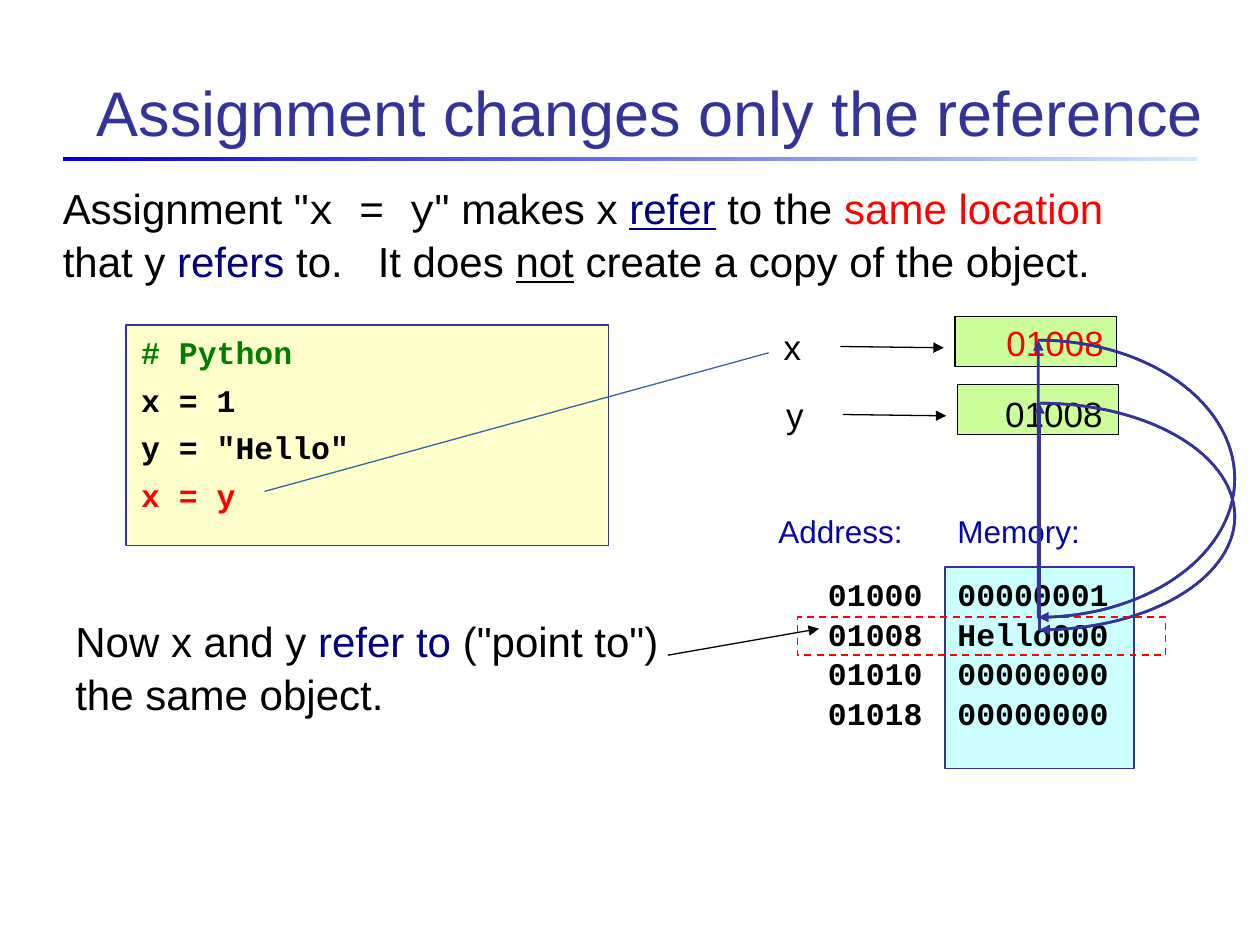
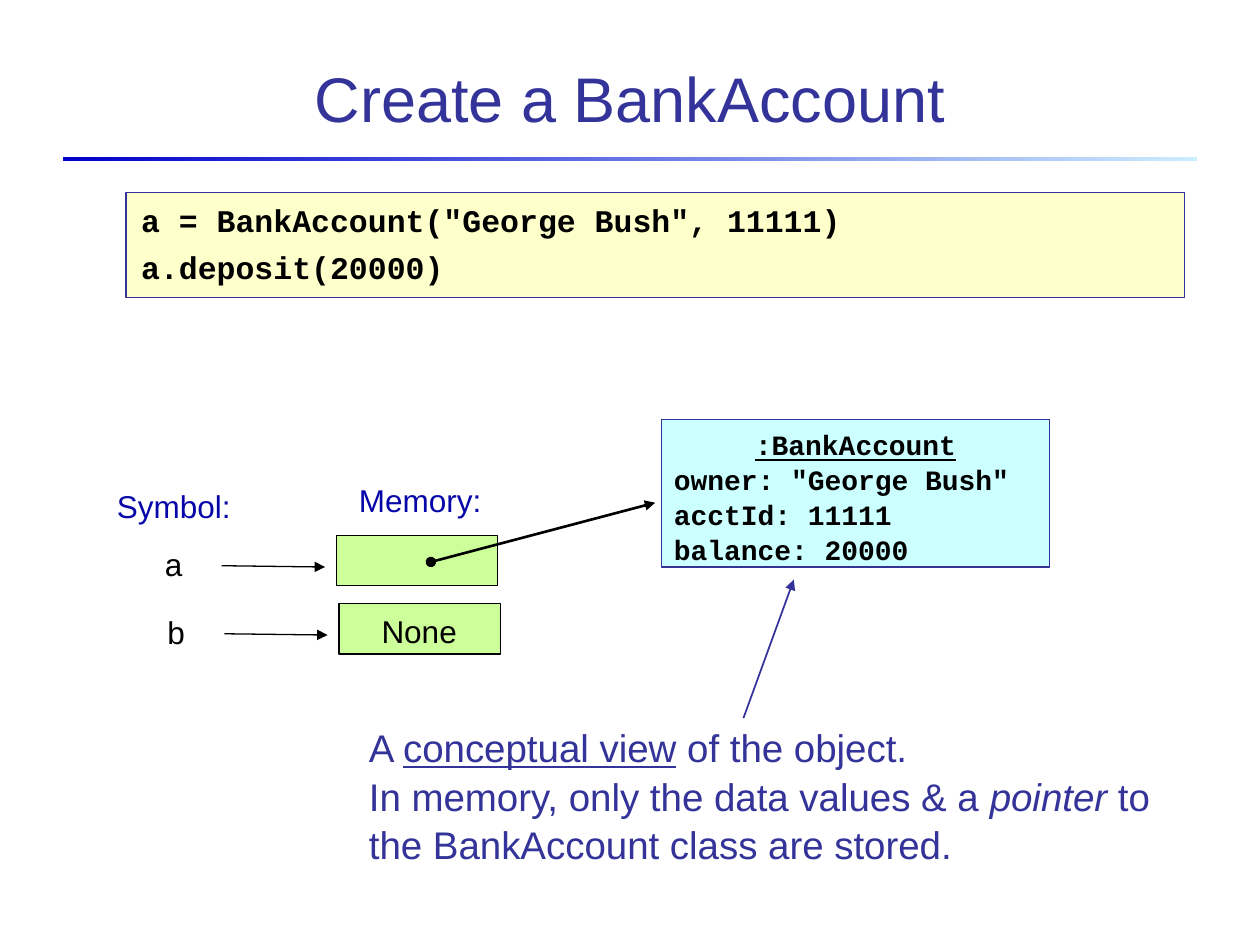
from dataclasses import dataclass
from math import cos, pi, sin

from pptx import Presentation
from pptx.dml.color import RGBColor
from pptx.enum.dml import MSO_LINE
from pptx.enum.shapes import MSO_CONNECTOR, MSO_SHAPE
from pptx.enum.text import MSO_ANCHOR as Anchor, PP_ALIGN as Align
from pptx.oxml.ns import qn
from pptx.util import Emu, Pt
from lxml.etree import SubElement

EMU_PER_PX = 9144


def px(length):
    return Emu(round(length * EMU_PER_PX))


@dataclass(frozen=True)
class Theme:
    sans: str = "Arial"
    mono: str = "Courier New"
    black: str = "000000"
    indigo: str = "333399"
    navy: str = "000080"
    caption: str = "0707A9"
    red: str = "FF0000"
    green: str = "008000"
    steel: str = "3465A4"
    code_fill: str = "FFFFCC"
    cell_fill: str = "CCFF99"
    object_fill: str = "CCFFFF"
    rule_start: str = "0000CC"
    rule_end: str = "CCECFF"
    title: int = 36
    body: int = 24
    note: int = 22
    symbol: int = 20
    code: int = 18
    fields: int = 16
    line_spacing: float = 1.05
    code_gap: float = 4.5
    thin: float = 0.75
    medium: float = 1
    thick: float = 1.5


class SlideBuilder:
    def __init__(self, deck, theme):
        self.deck = deck
        self.theme = theme
        self.page = None

    def new_page(self, title, width, align, anchor):
        theme = self.theme
        self.page = self.deck.slides.add_slide(self.deck.slide_layouts[6])
        rule = self.rectangle((50, 125, 900, 3))
        rule.fill.gradient()
        rule.fill.gradient_angle = 0
        for stop, color in zip(rule.fill.gradient_stops, (theme.rule_start, theme.rule_end)):
            stop.color.rgb = RGBColor.from_string(color)
        self.text((67, 28, width, 95), [title], theme.title, theme.indigo,
                  align=align, anchor=anchor)

    def rectangle(self, frame, fill=None, line=None, width=None):
        box = self.page.shapes.add_shape(MSO_SHAPE.RECTANGLE, *map(px, frame))
        box.shadow.inherit = False
        self.paint(box, fill, line, width)
        return box

    def paint(self, shape, fill, line, width):
        if fill:
            shape.fill.solid()
            shape.fill.fore_color.rgb = RGBColor.from_string(fill)
        else:
            shape.fill.background()
        if line:
            self.stroke(shape.line, line, width or self.theme.thin)
        else:
            shape.line.fill.background()

    def stroke(self, line, color, width, head=None, tail=None):
        line.color.rgb = RGBColor.from_string(color)
        line.width = Pt(width)
        element = line._get_or_add_ln()
        for tag, kind in (("a:headEnd", head), ("a:tailEnd", tail)):
            if kind:
                SubElement(element, qn(tag), type=kind)

    def set_text(self, box, paragraphs, size, color, font=None, bold=False,
                 align=Align.LEFT, anchor=Anchor.TOP, before=0, inset=10):
        frame = box.text_frame
        frame.word_wrap = True
        frame.vertical_anchor = anchor
        frame.margin_left, frame.margin_right = px(inset), px(10)
        frame.margin_top = frame.margin_bottom = px(5)
        for index, content in enumerate(paragraphs):
            para = frame.add_paragraph() if index else frame.paragraphs[0]
            para.alignment = align
            para.space_before = Pt(before)
            para.line_spacing = self.theme.line_spacing
            for part in [content] if isinstance(content, str) else content:
                words, style = (part, {}) if isinstance(part, str) else part
                span = para.add_run()
                span.text = words
                span.font.size = Pt(size)
                span.font.name = style.get("font", font or self.theme.sans)
                span.font.bold = bold
                span.font.italic = style.get("italic", False)
                span.font.underline = style.get("underline", False)
                span.font.color.rgb = RGBColor.from_string(style.get("color", color))
                if "spacing" in style:
                    span.font._element.set("spc", str(style["spacing"]))

    def text(self, frame, paragraphs, size, color=None, **style):
        box = self.page.shapes.add_textbox(*map(px, frame))
        self.set_text(box, paragraphs, size, color or self.theme.black, **style)

    def caption(self, left, top, words):
        self.text((left, top, 127, 40), [words], self.theme.code, self.theme.caption)

    def code(self, frame, lines):
        theme = self.theme
        box = self.rectangle(frame, theme.code_fill, theme.indigo)
        self.set_text(box, lines, theme.code, theme.black, font=theme.mono, bold=True,
                      before=theme.code_gap, inset=12)

    def mono_box(self, frame, lines, size, filled=True, align=Align.LEFT):
        theme = self.theme
        colors = (theme.object_fill, theme.indigo) if filled else (None, None)
        box = self.rectangle(frame, *colors)
        self.set_text(box, lines, size, theme.black, font=theme.mono, bold=True, align=align)
        return box

    def variable(self, name, left, top, size):
        theme = self.theme
        self.text((left - 146, top + 1, 41, 44), [name], size)
        self.line((left - 91, top + 24), (left - 9, top + 25), tail="triangle")
        return self.rectangle((left, top, 128, 40), theme.cell_fill, theme.black)

    def line(self, start, end, color=None, width=None, head=None, tail=None):
        theme = self.theme
        link = self.page.shapes.add_connector(
            MSO_CONNECTOR.STRAIGHT, *map(px, (*start, *end)))
        self.stroke(link.line, color or theme.black, width or theme.thin, head, tail)
        SubElement(link._element.spPr, qn("a:effectLst"))

    def loop(self, left, top, width, height, steps=60):
        theme = self.theme
        angles = [pi * step / steps - pi / 2 for step in range(steps + 1)]
        arc = [(px(left + width * cos(angle)), px(top + height / 2 * (1 + sin(angle))))
               for angle in angles]
        outline = self.page.shapes.build_freeform(*arc[0])
        outline.add_line_segments(arc[1:] + arc[:1], close=False)
        outline.move_to(*arc[0])
        outline.add_line_segments(arc[1:], close=False)
        shape = outline.convert_to_shape()
        shape.shadow.inherit = False
        shape.fill.background()
        self.stroke(shape.line, theme.indigo, theme.thick, tail="triangle")


def build_assignment(slide):
    theme = slide.theme
    navy = {"color": theme.navy}
    red = {"color": theme.red}
    slide.new_page("Assignment changes only the reference", 913, Align.LEFT, Anchor.BOTTOM)
    slide.code((100, 258, 383, 175), [
        [("# Python", {"color": theme.green})], "x = 1", 'y = "Hello"', [("x = y", red)]])

    x_cell = slide.variable("x", 758, 251, theme.symbol)
    slide.set_text(x_cell, ["01008"], theme.symbol, theme.red,
                   align=Align.RIGHT, anchor=Anchor.MIDDLE)
    slide.variable("y", 760, 305, theme.symbol)
    slide.text((788, 305, 104, 44), ["01008"], theme.symbol)

    slide.text((40, 138, 910, 90), [[
        'Assignment "', ("x = y", {"font": theme.mono}), '" makes x ',
        ("refer", {**navy, "underline": True}), " to the ", ("same location", red),
        " that y ", ("refers", navy), " to.", (" ", {"spacing": 1330}), "It does ",
        ("not", {"underline": True}), " create a copy of the object."]], theme.body)

    slide.mono_box((750, 450, 150, 160),
                   ["00000001", "Hello000", "00000000", "00000000"], theme.code)
    slide.mono_box((592, 450, 150, 160), ["01000", "01008", "01010", "01018"],
                   theme.code, filled=False, align=Align.RIGHT)
    slide.caption(750, 400, "Memory:")
    slide.caption(608, 400, "Address:")
    slide.text((50, 482, 530, 90), [[
        "Now x and y ", ("refer to", navy), ' ("point to") the same object.']], theme.body)

    slide.loop(825, 320, 155, 180)
    shared_row = slide.rectangle((633, 490, 292, 30), line=theme.red, width=theme.medium)
    shared_row.line.dash_style = MSO_LINE.DASH
    slide.loop(824, 270, 156, 220)
    slide.line((530, 520), (650, 499), tail="triangle")
    slide.line((210, 390), (610, 280), theme.steel)


def build_bank_account(slide):
    theme = slide.theme
    slide.new_page("Create a BankAccount", 866, Align.CENTER, Anchor.MIDDLE)
    slide.code((100, 153, 840, 83),
               ['a = BankAccount("George Bush", 11111)', "a.deposit(20000)"])

    slide.variable("a", 267, 425, theme.code)
    slide.variable("b", 269, 479, theme.code)
    slide.text((293, 479, 86, 40), ["None"], theme.code)
    slide.caption(275, 375, "Memory:")
    slide.caption(83, 380, "Symbol:")

    account = slide.mono_box((525, 333, 308, 117), [
        [(":BankAccount", {"underline": True})], 'owner: "George Bush"',
        "acctId: 11111", "balance: 20000"], theme.fields)
    account.text_frame.paragraphs[0].alignment = Align.CENTER

    slide.text((283, 568, 667, 120), [
        ["A ", ("conceptual view", {"underline": True}), " of the object."],
        ["In memory, only the data values & a ", ("pointer", {"italic": True}),
         " to the BankAccount class are stored."]], theme.note, theme.indigo)
    slide.line((590, 570), (630, 460), theme.indigo, theme.medium, tail="triangle")
    slide.line((342, 446), (520, 399), width=theme.thick, head="oval", tail="triangle")


def main():
    deck = Presentation()
    deck.slide_width, deck.slide_height = px(1000), px(750)
    slide = SlideBuilder(deck, Theme())
    build_assignment(slide)
    build_bank_account(slide)
    deck.save("out.pptx")


if __name__ == "__main__":
    main()
